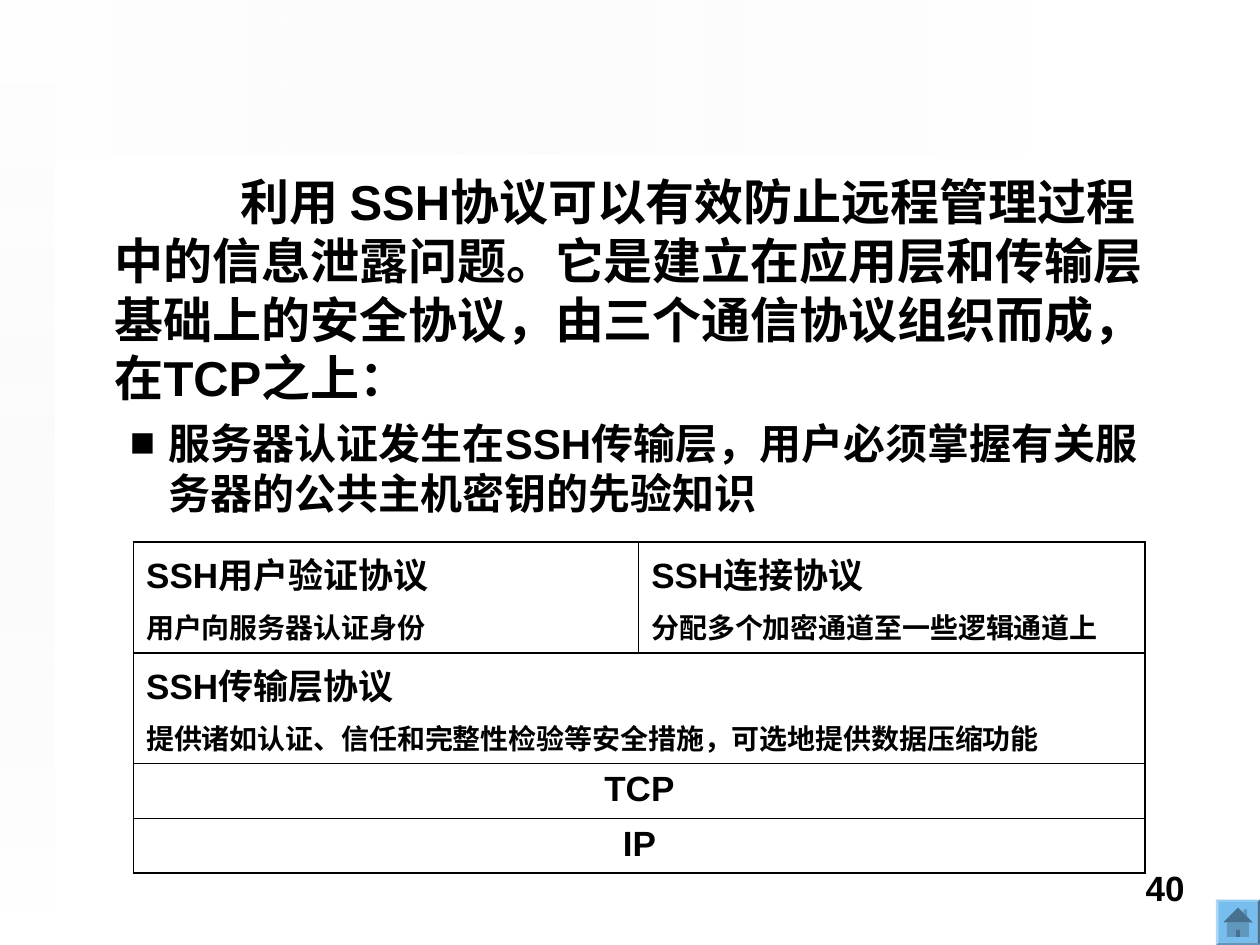
"""Build the slide on the SSH protocol layers."""
from typing import NamedTuple

from lxml.etree import SubElement
from pptx import Presentation
from pptx.dml.color import RGBColor as Rgb
from pptx.enum.shapes import MSO_SHAPE as Shape
from pptx.enum.text import MSO_AUTO_SIZE as Fit, PP_ALIGN as Align
from pptx.oxml.ns import qn
from pptx.util import Inches, Pt

HUES = {"ink": "000000", "paper": "FFFFFF", "mist": "EAEAEA", "sky": "77BDED"}
THICK, THIN = 1.08, 0.45


class Band(NamedTuple):
    """A faint background strip."""
    box: tuple[float, float, float, float]
    turn: int
    angle: int
    clear: int


class Layer(NamedTuple):
    """A table row: its cells, height and the rules above and below."""
    cells: list[list[str]]
    high: float
    top: float
    base: float


BANDS = [
    Band((3.46, -3.46, 1.23, 8.15), 90, 0, 49),
    Band((0, 0, 0.43, 7.26), 180, 90, 65),
]
LAYERS = [
    Layer([["SSH用户验证协议", "用户向服务器认证身份"],
           ["SSH连接协议", "分配多个加密通道至一些逻辑通道上"]], 0.88, THICK, THICK),
    Layer([["SSH传输层协议",
            "提供诸如认证、信任和完整性检验等安全措施，可选地提供数据压缩功能"]],
          0.88, THICK, THIN),
    Layer([["TCP"]], 0.43, THIN, THIN),
    Layer([["IP"]], 0.43, THIN, THICK),
]
INTRO = ("利用 SSH协议可以有效防止远程管理过程中的信息泄露问题。它是建立在应用层和"
         "传输层基础上的安全协议，由三个通信协议组织而成，在TCP之上：")
POINT = "服务器认证发生在SSH传输层，用户必须掌握有关服务器的公共主机密钥的先验知识"


def hue(name: str) -> Rgb:
    """Look up a colour."""
    return Rgb.from_string(HUES[name])


def write(frame, text: str, size: float, *, first=True, align=Align.LEFT, gap=0,
          left=0.0, indent=0.0, level=0, mark="") -> None:
    """Write one formatted paragraph into a text frame."""
    para = frame.paragraphs[0] if first else frame.add_paragraph()
    para.text, para.level, para.alignment = text, level, align
    props = para._p.get_or_add_pPr()
    props.set("marL", str(Inches(left)))
    props.set("indent", str(Inches(indent)))
    props.set("hangingPunct", "0")
    if mark:
        tint = SubElement(props, qn("a:buClr"))
        SubElement(tint, qn("a:srgbClr"), val=HUES["ink"])
        SubElement(props, qn("a:buFont"), typeface="Arial")
        SubElement(props, qn("a:buChar"), char=mark)
    else:
        SubElement(props, qn("a:buNone"))
    para.space_before = Pt(gap)
    font = para.runs[0].font
    font.name, font.size, font.bold = "Arial", Pt(size), True
    font.color.rgb = hue("ink")


def add_band(slide, band: Band) -> None:
    """Draw a strip that fades along its length."""
    strip = slide.shapes.add_shape(Shape.RECTANGLE, *map(Inches, band.box))
    strip.rotation = band.turn
    strip.shadow.inherit = False
    strip.line.fill.background()
    strip.fill.gradient()
    strip.fill.gradient_angle = band.angle
    strip._element.spPr.find(qn("a:gradFill")).set("rotWithShape", "0")
    for stop, name, alpha in zip(strip.fill.gradient_stops, ("mist", "paper"),
                                 (0, band.clear)):
        stop.color.rgb = hue(name)
        tint = stop._gs.find(qn("a:srgbClr"))
        SubElement(tint, qn("a:alpha"), val=str(alpha * 1000))


def add_plate(slide, kind: Shape, inset: float):
    """Draw one part of the home button, inset from its edge."""
    plate = slide.shapes.add_shape(
        kind, Inches(9.65 + inset), Inches(7.14 + inset),
        Inches(0.35 - 2 * inset), Inches(0.36 - 2 * inset))
    plate.shadow.inherit = False
    plate.fill.solid()
    plate.fill.fore_color.rgb = hue("sky")
    plate.line.fill.background()
    return plate


def rule(cell, **sides: float) -> None:
    """Set the border widths of a cell by side."""
    props = cell._tc.get_or_add_tcPr()
    for side, width in sides.items():
        line = SubElement(props, qn(f"a:ln{side}"), w=str(Pt(width)))
        fill = SubElement(line, qn("a:solidFill"))
        SubElement(fill, qn("a:srgbClr"), val=HUES["ink"])


def add_stack(slide, layers: list[Layer]) -> None:
    """Draw the protocol stack as a table."""
    high = sum(layer.high for layer in layers)
    table = slide.shapes.add_table(len(layers), 2, Inches(1.06), Inches(4.3),
                                   Inches(8.03), Inches(high)).table
    table.first_row = table.horz_banding = False
    for col, width in zip(table.columns, (4.01, 4.02)):
        col.width = Inches(width)
    for row, layer in enumerate(layers):
        table.rows[row].height = Inches(layer.high)
        split = len(layer.cells) == 2
        inner = THIN if split else THICK
        for col in range(2):
            cell = table.cell(row, col)
            rule(cell, L=inner if col else THICK, R=THICK if col else inner,
                 T=layer.top, B=layer.base)
            cell.fill.solid()
            cell.fill.fore_color.rgb = hue("paper")
        if not split:
            table.cell(row, 0).merge(table.cell(row, 1))
        for col, lines in enumerate(layer.cells):
            frame = table.cell(row, col).text_frame
            align = Align.LEFT if len(lines) > 1 else Align.CENTER
            write(frame, lines[0], 20, align=align)
            for line in lines[1:]:
                write(frame, line, 16, first=False, gap=4)


def main() -> None:
    """Build and save the deck."""
    deck = Presentation()
    deck.slide_width, deck.slide_height = Inches(10), Inches(7.5)
    slide = deck.slides.add_slide(deck.slide_layouts[1])
    title = slide.shapes.title._element
    title.getparent().remove(title)
    for band in BANDS:
        add_band(slide, band)
    add_plate(slide, Shape.BEVEL, 0).adjustments[0] = 0.06
    add_plate(slide, Shape.ACTION_BUTTON_HOME, 0.02)

    page = slide.shapes.add_textbox(Inches(7.17), Inches(6.83), Inches(2.33),
                                    Inches(0.52)).text_frame
    page.word_wrap = True
    write(page, "40", 20, align=Align.RIGHT)

    body = slide.placeholders[1]
    body.left, body.top = Inches(0.43), Inches(1.31)
    body.width, body.height = Inches(8.74), Inches(5.35)
    frame = body.text_frame
    frame.auto_size = Fit.NONE
    write(frame, INTRO, 28, left=0.38, indent=1)
    write(frame, POINT, 24, first=False, gap=6, left=0.81, indent=-0.31,
          level=1, mark="■")

    add_stack(slide, LAYERS)
    deck.save("out.pptx")


if __name__ == "__main__":
    main()
